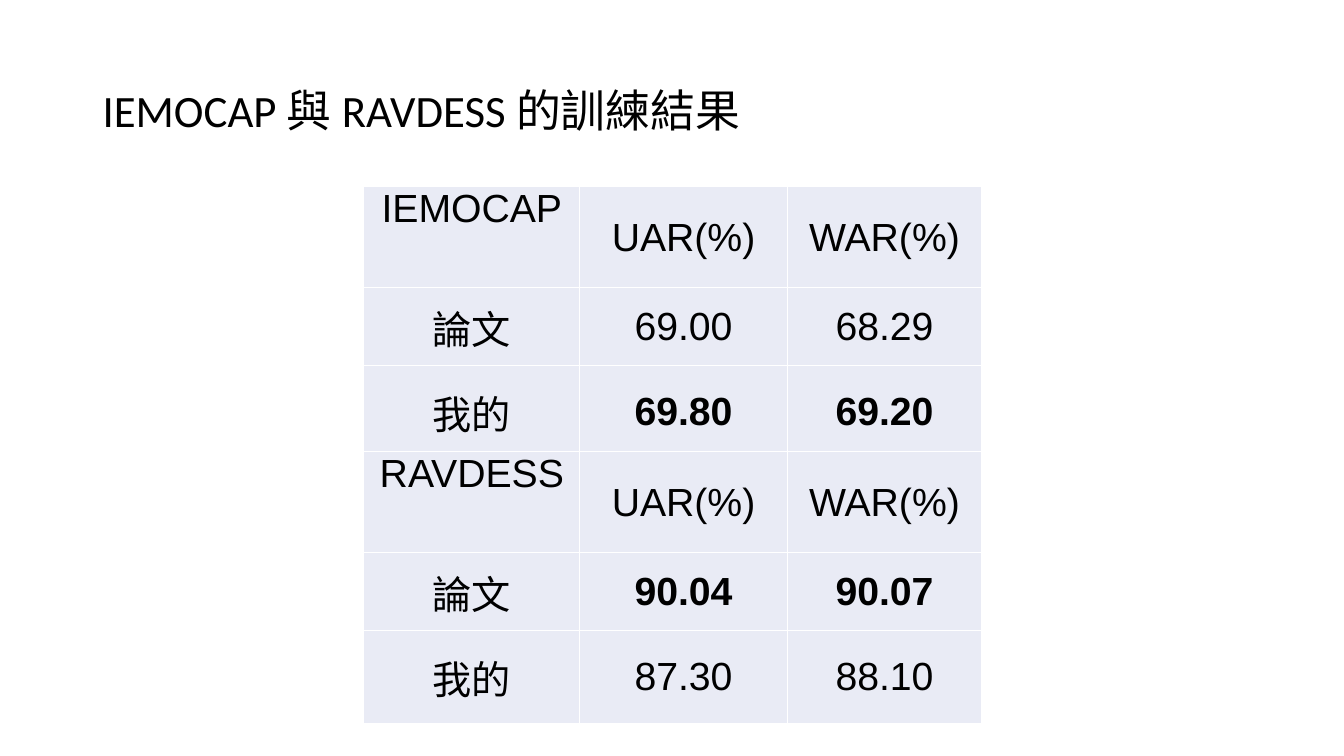
"""Build the slide of training results on IEMOCAP and RAVDESS."""
from dataclasses import dataclass

from lxml import etree
from pptx import Presentation
from pptx.dml.color import RGBColor
from pptx.enum.text import MSO_ANCHOR, PP_ALIGN
from pptx.oxml.ns import qn
from pptx.util import Cm, Pt

MIDDLE = MSO_ANCHOR.MIDDLE
LEFT, CENTER = PP_ALIGN.LEFT, PP_ALIGN.CENTER

TITLE = "IEMOCAP 與 RAVDESS 的訓練結果"
METRICS = ("UAR(%)", "WAR(%)")
RESULTS = [
    {"dataset": "IEMOCAP　", "論文": ("69.00", "68.29"),
     "我的": ("69.80", "69.20"), "best": "我的"},
    {"dataset": "RAVDESS　", "論文": ("90.04", "90.07"),
     "我的": ("87.30", "88.10"), "best": "論文"},
]
METHODS = ("論文", "我的")

TITLE_BOX = (2.33, 1.01, 29.21, 3.68)
TABLE_LEFT, TABLE_TOP, TABLE_STEP = 9.17, 4.7, 6.68
COL_WIDTHS = (5.44, 5.23, 4.9)
ROW_HEIGHTS = (1.65, 1.96, 2.34)


@dataclass(frozen=True)
class Theme:
    text: str = "000000"
    cell: str = "E9EBF5"
    border: str = "FFFFFF"
    border_pt: int = 1
    title_font: str = "Calibri"
    table_font: str = "Arial"
    title_pt: int = 32
    table_pt: int = 28


THEME = Theme()


def add_text(p, text, font, size, align, bold=False):
    p.alignment = align
    r = p.add_run()
    r.text = text
    r.font.name = font
    r.font.size = Pt(size)
    r.font.bold = bold
    r.font.color.rgb = RGBColor.from_string(THEME.text)


def add_borders(cell):
    tc_pr = cell._tc.get_or_add_tcPr()
    for i, side in enumerate(("lnL", "lnR", "lnT", "lnB")):
        ln = etree.Element(qn(f"a:{side}"), w=str(Pt(THEME.border_pt)))
        fill = etree.SubElement(ln, qn("a:solidFill"))
        etree.SubElement(fill, qn("a:srgbClr"), val=THEME.border)
        tc_pr.insert(i, ln)


def fill_cell(cell, text, bold):
    cell.margin_left = cell.margin_right = cell.margin_top = Cm(0.02)
    cell.margin_bottom = 0
    cell.vertical_anchor = MIDDLE
    cell.fill.solid()
    cell.fill.fore_color.rgb = RGBColor.from_string(THEME.cell)
    add_borders(cell)
    p = cell.text_frame.paragraphs[0]
    add_text(p, text, THEME.table_font, THEME.table_pt, CENTER, bold)


def add_results(s, result, top):
    rows = [(result["dataset"], *METRICS)]
    rows += [(method, *result[method]) for method in METHODS]
    frame = s.shapes.add_table(
        len(rows), len(COL_WIDTHS), Cm(TABLE_LEFT), Cm(top),
        Cm(sum(COL_WIDTHS)), Cm(sum(ROW_HEIGHTS)))
    table = frame.table
    table.first_row = table.horz_banding = False
    for col, width in zip(table.columns, COL_WIDTHS):
        col.width = Cm(width)
    for i, (row, height) in enumerate(zip(rows, ROW_HEIGHTS)):
        table.rows[i].height = Cm(height)
        for j, text in enumerate(row):
            best = j > 0 and row[0] == result["best"]
            fill_cell(table.cell(i, j), text, best)


def add_title(s):
    sp = s.shapes.title
    sp.left, sp.top, sp.width, sp.height = map(Cm, TITLE_BOX)
    tf = sp.text_frame
    tf.vertical_anchor = MIDDLE
    p = tf.paragraphs[0]
    p.line_spacing = 0.9
    add_text(p, TITLE, THEME.title_font, THEME.title_pt, LEFT)


def main():
    prs = Presentation()
    prs.slide_width, prs.slide_height = Cm(33.87), Cm(19.05)
    s = prs.slides.add_slide(prs.slide_layouts[5])
    add_title(s)
    for i, result in enumerate(RESULTS):
        add_results(s, result, TABLE_TOP + i * TABLE_STEP)
    prs.save("out.pptx")


if __name__ == "__main__":
    main()
